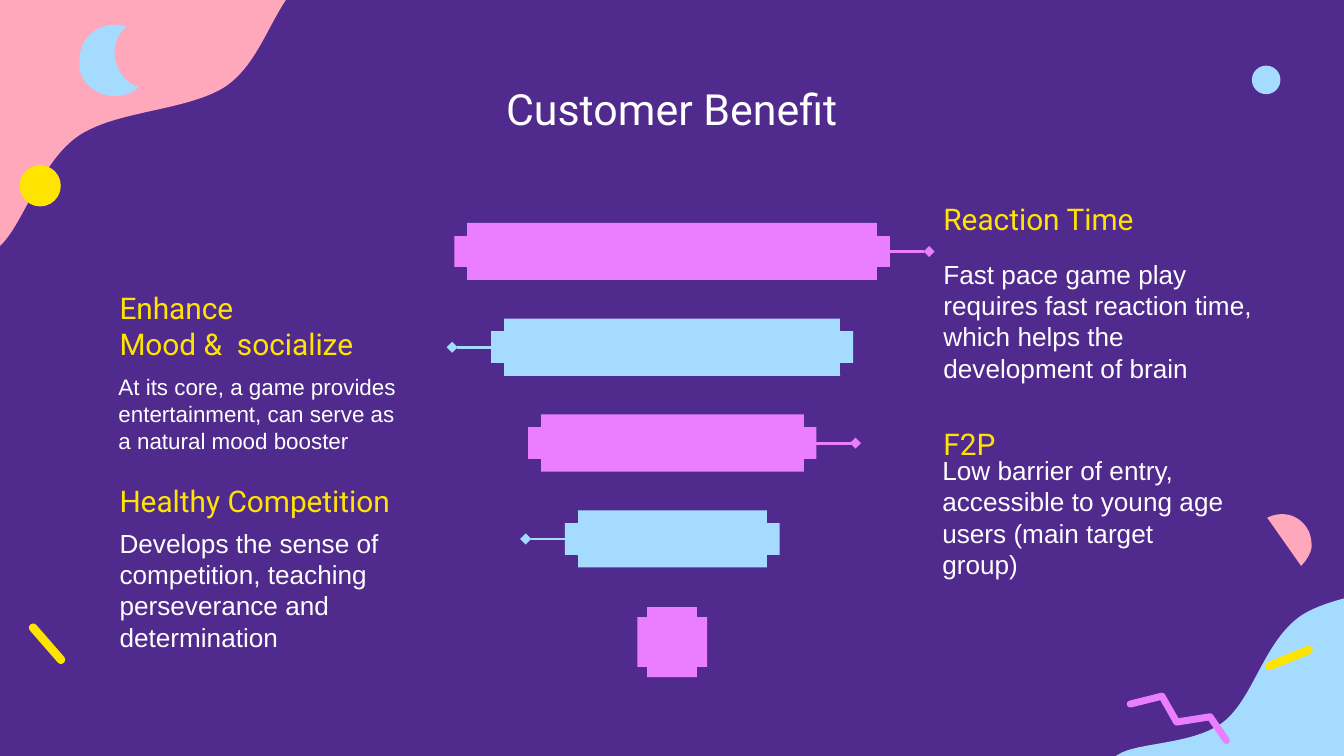
from lxml import etree
from pptx import Presentation
from pptx import util as u
from pptx.dml import color
from pptx.enum import shapes, text
from pptx.oxml import ns

PURPLE, VIOLET, SKY = "512A8E", "EB7DFF", "A5DBFF"
PINK, YELLOW, WHITE = "FFA7BB", "FFE400", "FFFFFF"
KIND = shapes.MSO_SHAPE
HEADING = {"name": "Roboto", "size": u.Pt(16), "color": YELLOW}
BODY = {"name": "Arial", "size": u.Pt(14), "color": WHITE}

WAVE = [
    (-1.02, 4.85),
    (-0.91, 5.94), (-0.43, 5.05), (-0.03, 4.67),
    (0.41, 4.32), (0.74, 3.1), (1.45, 2.59),
    (2.16, 2.08), (3.53, 2.11), (4.27, 1.63),
    (4.98, 1.14), (5.16, 0.08), (5.74, -0.38),
    (6.3, -0.81), (7.37, -0.76), (7.72, -0.99),
    (8.1, -1.24), (9.32, -1.65), (7.92, -1.8),
    (6.55, -1.93), (0.89, -2.97), (-0.58, -1.88),
    (-2.08, -0.76), (-1.12, 3.76), (-1.02, 4.85),
]
MOON = [
    (1.52, 0.97),
    (1.57, 0.74), (1.78, 0.53), (2.03, 0.48),
    (2.16, 0.46), (2.29, 0.46), (2.39, 0.51),
    (2.29, 0.58), (2.21, 0.71), (2.18, 0.84),
    (2.16, 0.94), (2.16, 1.04), (2.18, 1.14),
    (2.24, 1.4), (2.41, 1.57), (2.62, 1.65),
    (2.54, 1.73), (2.44, 1.78), (2.31, 1.8),
    (1.96, 1.88), (1.57, 1.65), (1.5, 1.3),
    (1.5, 1.17), (1.5, 1.07), (1.52, 0.97),
]
HALF_DISC = [
    (24.59, 10.69),
    (24.69, 10.59), (24.77, 10.46), (24.79, 10.34),
    (24.79, 10.21), (24.77, 10.06), (24.69, 9.96),
    (24.51, 9.7), (24.21, 9.65), (23.95, 9.78),
]
ZIGZAG = [(21.36, 13.3), (21.96, 13.15), (22.24, 13.64), (22.87, 13.54), (23.18, 13.99)]


def rgb(code):
    """Turn a hex string into a colour."""
    return color.RGBColor.from_string(code)


def lengths(box):
    """Turn a box in centimetres into lengths."""
    return [u.Cm(value) for value in box]


def paint(shape, fill, line=None):
    """Give a shape a flat fill and an optional thin outline."""
    shape.shadow.inherit = False
    shape.fill.solid()
    shape.fill.fore_color.rgb = rgb(fill)
    if line:
        shape.line.color.rgb = rgb(line)
        shape.line.width = u.Pt(0.75)
    else:
        shape.line.fill.background()
    return shape


def add_preset(page, kind, box, fill, line=None):
    """Place a painted preset shape."""
    return paint(page.shapes.add_shape(kind, *lengths(box)), fill, line)


def add_outline(page, points, close=True):
    """Build a freeform through points in centimetres."""
    corners = [lengths(point) for point in points]
    builder = page.shapes.build_freeform(*corners[0], scale=1.0)
    builder.add_line_segments(corners[1:], close=close)
    return builder.convert_to_shape()


def add_curve(page, nodes, fill):
    """Build a freeform whose nodes, three by three, form cubic curves."""
    shape = add_outline(page, nodes)
    segments = list(shape._element.iter(ns.qn("a:lnTo")))[:len(nodes) - 1]
    for start in range(0, len(segments), 3):
        curve = etree.Element(ns.qn("a:cubicBezTo"))
        segments[start].addprevious(curve)
        for segment in segments[start:start + 3]:
            curve.append(segment[0])
            segment.getparent().remove(segment)
    return paint(shape, fill)


def add_zigzag(page, points):
    """Draw a thick open line with round ends and joins."""
    shape = add_outline(page, points, close=False)
    shape.shadow.inherit = False
    shape.fill.background()
    shape.line.color.rgb = rgb(VIOLET)
    shape.line.width = u.Pt(3.75)
    line = shape.line._get_or_add_ln()
    line.set("cap", "rnd")
    etree.SubElement(line, ns.qn("a:round"))


def add_decoration(page, width, height):
    """Scatter the waves, discs and sticks around the page edges."""
    turned = [(width + 3.46 - x, height - 1.02 - y) for x, y in WAVE]
    for nodes, fill in ((WAVE, PINK), (turned, SKY), (HALF_DISC, PINK), (MOON, SKY)):
        add_curve(page, nodes, fill)
    for left, top, size, fill in ((0.37, 3.12, 0.78, YELLOW), (23.66, 1.24, 0.54, SKY)):
        add_preset(page, KIND.OVAL, (left, top, size, size), fill)
    for x, y, angle in ((0.89, 12.16, 49), (24.36, 12.43, -22)):
        stick = add_preset(page, KIND.ROUNDED_RECTANGLE, (x - 0.48, y - 0.08, 0.96, 0.16), YELLOW)
        stick.adjustments[0] = 0.5
        stick.rotation = angle
    add_zigzag(page, ZIGZAG)


def add_pixel_bar(page, box, notch, fill):
    """Draw a bar with its four corners cut out."""
    left, top, width, height = box
    add_preset(page, KIND.RECTANGLE, box, fill)
    for x in (left, left + width - notch):
        for y in (top, top + height - notch):
            add_preset(page, KIND.RECTANGLE, (x, y, notch, notch), PURPLE, PURPLE)


def add_pointer(page, start, end, y, stroke, tip):
    """Draw a level line with a diamond at the named tip."""
    line = page.shapes.add_connector(shapes.MSO_CONNECTOR.STRAIGHT, *lengths((start, y, end, y)))
    line.line.color.rgb = rgb(stroke)
    line.line.width = u.Pt(1.5)
    etree.SubElement(line.line._get_or_add_ln(), ns.qn(f"a:{tip}"), type="diamond")
    etree.SubElement(line._element.spPr, ns.qn("a:effectLst"))


def add_funnel(page, box):
    """Stack shrinking bars with pointers to alternate sides and a square below."""
    left, top, width, pitch = box
    middle, height, reach = left + width / 2, 1.08, 0.74
    for row in range(4):
        span, y = width - 1.39 * row, top + pitch * row
        near, far = middle - span / 2, middle + span / 2
        fill = (VIOLET, SKY)[row % 2]
        add_pixel_bar(page, (near, y, span, height), 0.23, fill)
        if row % 2:
            add_pointer(page, near - reach, near, y + height / 2, fill, "headEnd")
        else:
            add_pointer(page, far, far + reach, y + height / 2, fill, "tailEnd")
    add_pixel_bar(page, (middle - 0.66, top + 4 * pitch + 0.02, 1.32, 1.32), 0.18, VIOLET)


def write(shape, lines, style, align=text.PP_ALIGN.LEFT):
    """Fill a shape with formatted paragraphs, centred in height."""
    frame = shape.text_frame
    settings = {"word_wrap": True, "auto_size": text.MSO_AUTO_SIZE.NONE,
                "vertical_anchor": text.MSO_ANCHOR.MIDDLE}
    settings.update({f"margin_{side}": u.Cm(0.25) for side in ("left", "right", "top", "bottom")})
    for name, value in settings.items():
        setattr(frame, name, value)
    for index, line in enumerate(lines):
        para = frame.add_paragraph() if index else frame.paragraphs[0]
        para.alignment = align
        span = para.add_run()
        span.text = line
        for name, value in style.items():
            if name == "color":
                span.font.color.rgb = rgb(value)
            else:
                setattr(span.font, name, value)


def add_title(page, box, words):
    """Move and format the title placeholder."""
    title = page.shapes.title
    title.left, title.top, title.width, title.height = lengths(box)
    write(title, [words], {**HEADING, "size": u.Pt(23), "color": WHITE}, text.PP_ALIGN.CENTER)


def add_benefit(page, heading_box, heading, body_box, body, size=14):
    """Place a benefit heading and its description."""
    write(page.shapes.add_textbox(*lengths(heading_box)), heading, HEADING)
    write(page.shapes.add_textbox(*lengths(body_box)), [body], {**BODY, "size": u.Pt(size)})


def main():
    """Build the slide and save it."""
    deck = Presentation()
    deck.slide_width, deck.slide_height = lengths((25.4, 14.28))
    page = deck.slides.add_slide(deck.slide_layouts[5])
    page.background.fill.solid()
    page.background.fill.fore_color.rgb = rgb(PURPLE)
    add_decoration(page, 25.4, 14.28)
    add_title(page, (2, 1.24, 21.4, 1.6), "Customer Benefit")
    add_funnel(page, (8.59, 4.21, 8.23, 1.81))
    add_benefit(page, (17.58, 3.61, 5.84, 1.04), ["Reaction Time"], (17.58, 5.44, 6.68, 1.24),
                "Fast pace game play requires fast reaction time, which helps the development of brain")
    add_benefit(page, (2.01, 5.35, 7.5, 1.6), ["Enhance", "Mood &  socialize"], (1.99, 7.19, 5.84, 1.24),
                "At its core, a game provides entertainment, can serve as a natural mood booster", 12)
    add_benefit(page, (17.58, 7.86, 5.84, 1.04), ["F2P"], (17.56, 8.65, 5.84, 2.24),
                "Low barrier of entry, accessible to young age users (main target group)")
    add_benefit(page, (2.01, 8.71, 6.86, 1.5), ["Healthy Competition"], (2.01, 10.52, 5.84, 1.24),
                "Develops the sense of competition, teaching perseverance and determination")
    deck.save("out.pptx")


if __name__ == "__main__":
    main()
